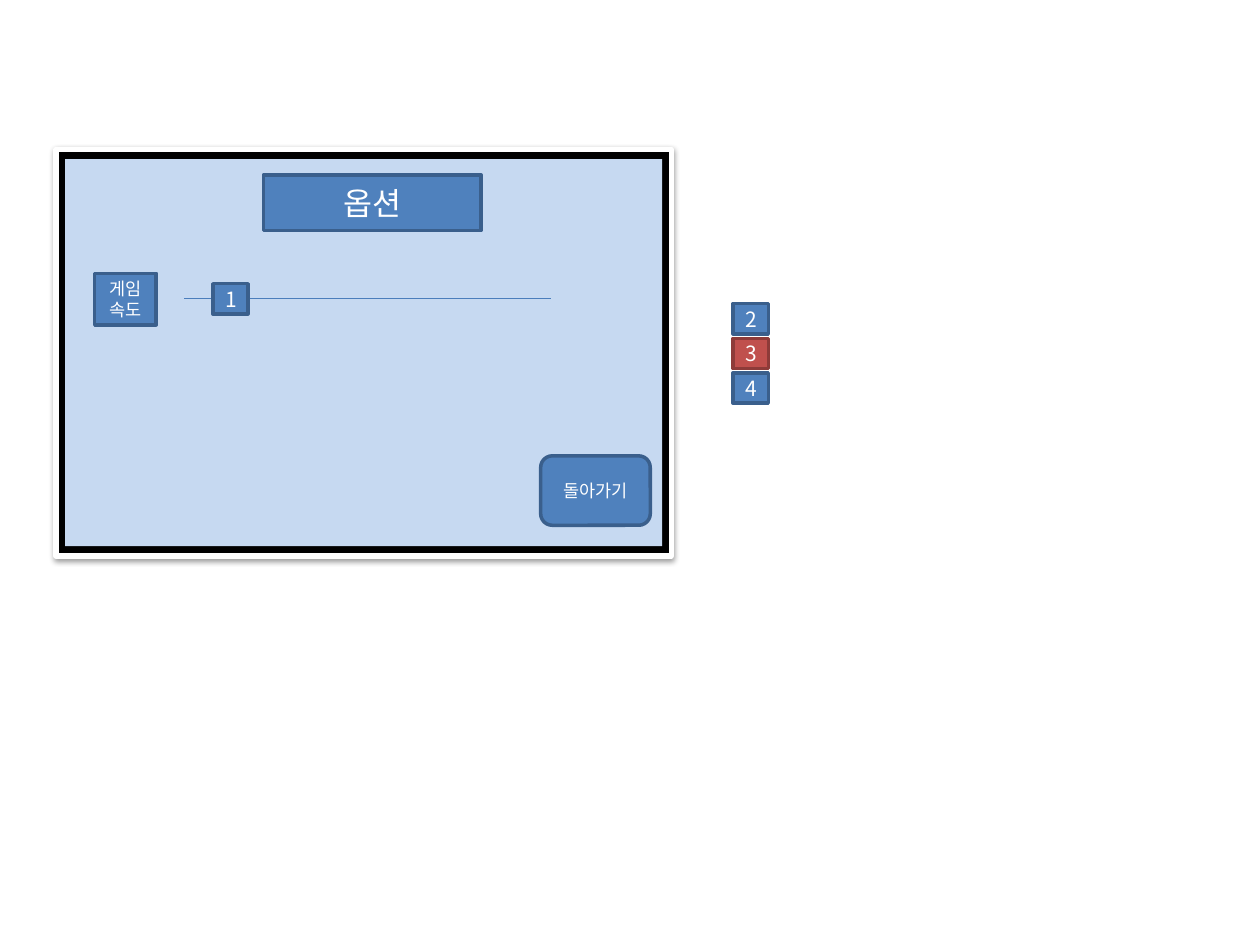
from dataclasses import dataclass

from lxml.etree import SubElement
from pptx import Presentation
from pptx.dml.color import RGBColor
from pptx.enum.shapes import MSO_CONNECTOR, MSO_SHAPE
from pptx.enum.text import MSO_ANCHOR, PP_ALIGN
from pptx.oxml.ns import qn
from pptx.util import Cm, Pt

FONT = "Noto Sans CJK KR"
BLUE, NAVY = "4F81BD", "3A5F8C"
RED, MAROON = "C0504D", "8E3B39"
SIDE, HIGH, STEP = 0.71, 0.61, 0.7


@dataclass
class Box:
    text: str
    left: float
    top: float
    width: float = SIDE
    height: float = HIGH
    size: int = 12
    fill: str = BLUE
    edge: str = NAVY
    kind: MSO_SHAPE = MSO_SHAPE.RECTANGLE


def color(code: str) -> RGBColor:
    return RGBColor.from_string(code)


def add_panel(group, left: float, top: float, width: float, height: float, fill: str):
    """Add a plain rectangle turned by a quarter."""
    panel = group.shapes.add_shape(
        MSO_SHAPE.RECTANGLE, Cm(left), Cm(top), Cm(width), Cm(height))
    panel.rotation = 90
    panel.fill.solid()
    panel.fill.fore_color.rgb = color(fill)
    panel.line.fill.background()
    panel.shadow.inherit = False
    return panel


def add_shadow(shape) -> None:
    effects = shape._element.spPr.find(qn("a:effectLst"))
    shadow = SubElement(
        effects, qn("a:outerShdw"), blurRad=str(Pt(3.1)), dist=str(Pt(1.6)),
        dir="5400000", rotWithShape="0")
    black = SubElement(shadow, qn("a:srgbClr"), val="000000")
    SubElement(black, qn("a:alpha"), val="38000")


def add_screen(slide) -> None:
    """Draw the black game screen with its light inside."""
    group = slide.shapes.add_group_shape()
    frame = add_panel(group, 3.23, 0.91, 8.2, 12.4, "000000")
    frame.line.color.rgb = color("FFFFFF")
    frame.line.width = Pt(3)
    add_shadow(frame)
    add_panel(group, 3.43, 1.09, 7.8, 12.04, "C6D9F1")


def add_box(slide, box: Box) -> None:
    shape = slide.shapes.add_shape(
        box.kind, Cm(box.left), Cm(box.top), Cm(box.width), Cm(box.height))
    shape.shadow.inherit = False
    shape.fill.solid()
    shape.fill.fore_color.rgb = color(box.fill)
    shape.line.color.rgb = color(box.edge)
    shape.line.width = Pt(2)
    frame = shape.text_frame
    frame.text = box.text
    frame.word_wrap = True
    frame.vertical_anchor = MSO_ANCHOR.MIDDLE
    line = frame.paragraphs[0]
    line.alignment = PP_ALIGN.CENTER
    font = line.runs[0].font
    font.size = Pt(box.size)
    font.color.rgb = color("FFFFFF")
    font.name = FONT
    SubElement(font._element, qn("a:ea"), typeface=FONT)


def add_track(slide, left: float, right: float, top: float) -> None:
    track = slide.shapes.add_connector(
        MSO_CONNECTOR.STRAIGHT, Cm(left), Cm(top), Cm(right), Cm(top))
    track.line.color.rgb = color("4B7EBC")
    track.line.width = Pt(0.75)
    SubElement(track._element.spPr, qn("a:effectLst"))


def main() -> None:
    deck = Presentation()
    deck.slide_width, deck.slide_height = Cm(25.4), Cm(19.05)
    slide = deck.slides.add_slide(deck.slide_layouts[6])

    add_screen(slide)
    add_box(slide, Box("게임속도", 1.91, 5.51, 1.24, 1.04, 10))
    tones = [(BLUE, NAVY), (RED, MAROON), (BLUE, NAVY)]
    for row, (fill, edge) in enumerate(tones):
        add_box(slide, Box(str(row + 2), 14.78, 6.12 + row * STEP, fill=fill, edge=edge))
    add_box(slide, Box("옵션", 5.31, 3.53, 4.39, 1.12, 18))
    add_box(slide, Box("돌아가기", 10.9, 9.19, 2.21, 1.4, 10,
                       kind=MSO_SHAPE.ROUNDED_RECTANGLE))
    add_track(slide, 3.71, 11.1, 6.02)
    add_box(slide, Box("1", 4.29, 5.72))

    deck.save("out.pptx")


if __name__ == "__main__":
    main()
